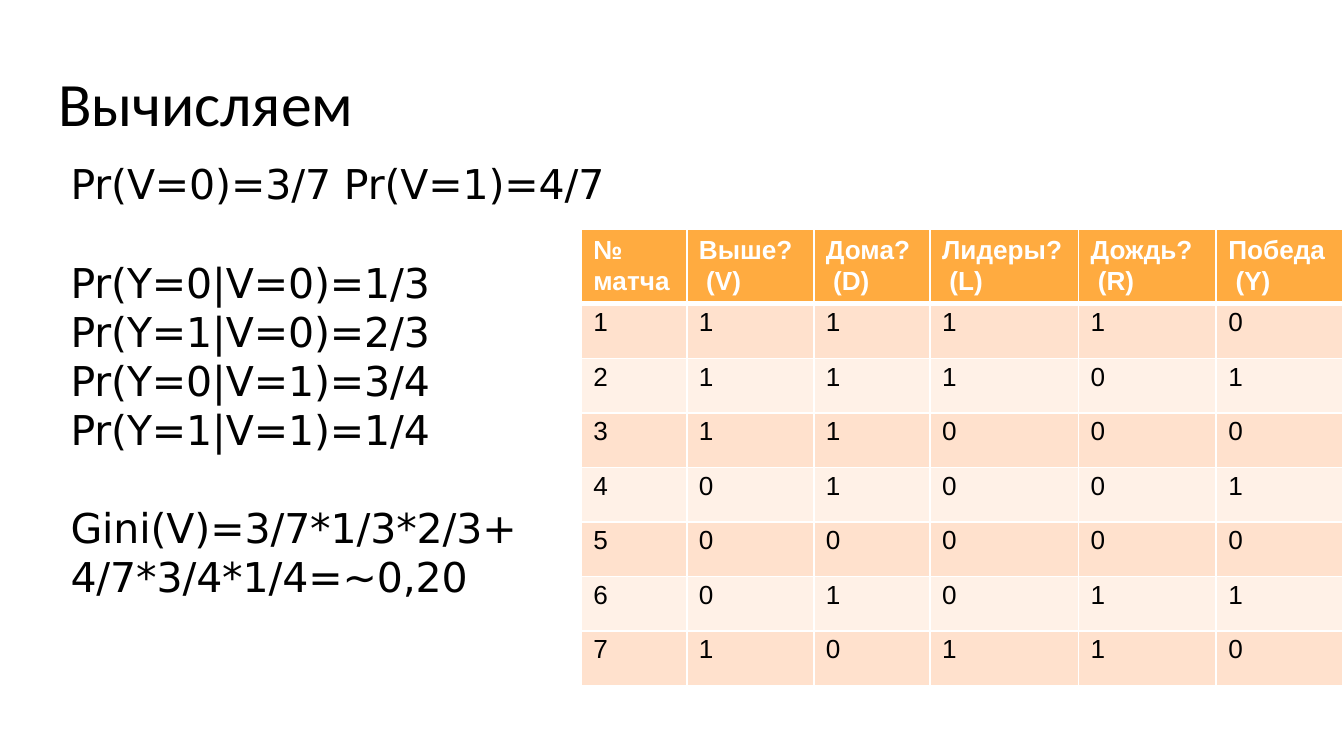
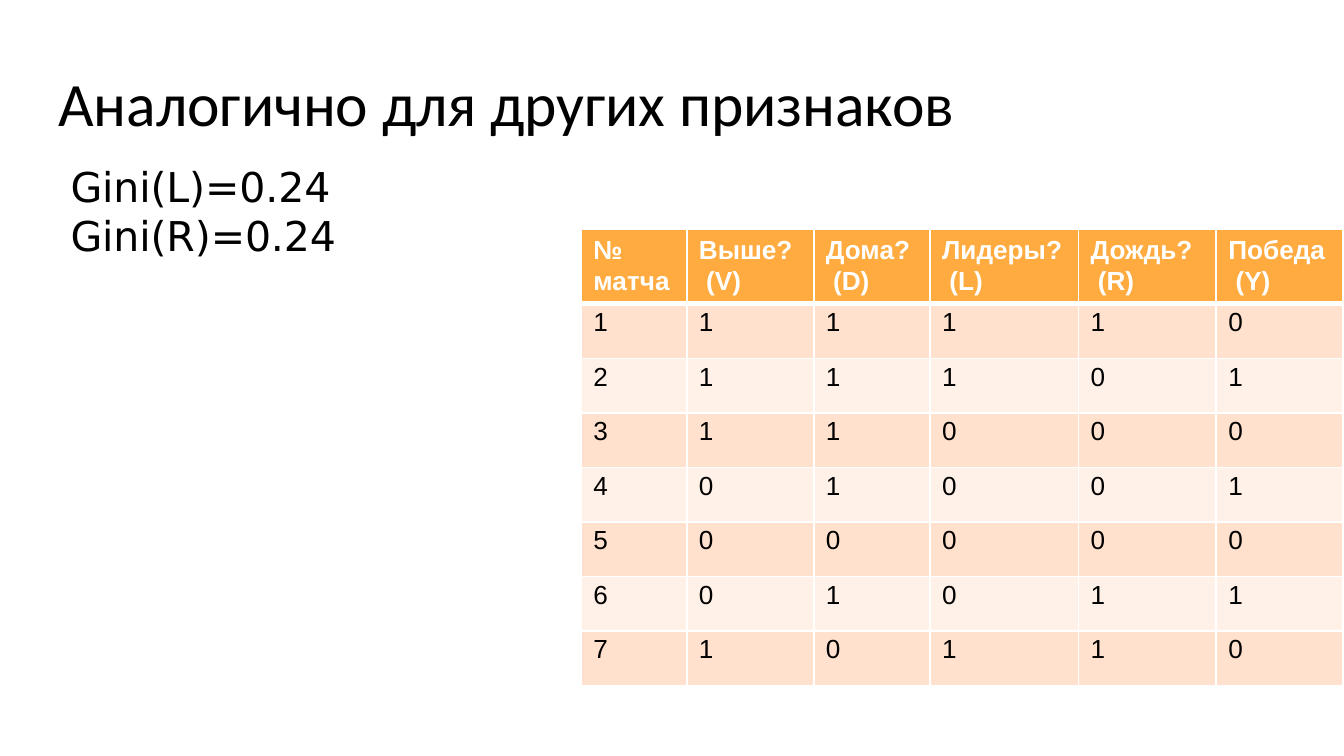
from dataclasses import dataclass

from lxml import etree
from pptx import Presentation
from pptx.dml.color import RGBColor
from pptx.enum.text import MSO_ANCHOR, MSO_AUTO_SIZE, PP_ALIGN
from pptx.oxml.ns import qn
from pptx.util import Inches, Pt

LEFT = PP_ALIGN.LEFT
TOP, MIDDLE = MSO_ANCHOR.TOP, MSO_ANCHOR.MIDDLE
FIT_SHAPE = MSO_AUTO_SIZE.SHAPE_TO_FIT_TEXT
TITLE_AND_CONTENT = 1

# Grid: 100 columns by 100 rows over a 16:9 slide
SLIDE_W = Inches(10)
SLIDE_H = SLIDE_W * 9 // 16


def cols(n: float) -> int:
    return round(SLIDE_W * n / 100)


def rows(n: float) -> int:
    return round(SLIDE_H * n / 100)


# Theme
@dataclass(frozen=True)
class TextStyle:
    font: str
    size: float
    color: str = "000000"
    bold: bool = False
    tracking: int = 0  # hundredths of a point
    line: float | None = None  # exact line height in points


@dataclass(frozen=True)
class Theme:
    title: TextStyle = TextStyle("Calibri", 33, tracking=-5)
    formula: TextStyle = TextStyle("DejaVu Sans", 22, tracking=-5, line=26.3)
    header: TextStyle = TextStyle("Arial", 14, "FFFFFF", bold=True, line=16.5)
    value: TextStyle = TextStyle("Arial", 14)
    header_fill: str = "FFAB40"
    bands: tuple[str, str] = ("FFE1CD", "FFF1E7")
    border: str = "FFFFFF"
    thin: float = 1
    thick: float = 3


THEME = Theme()


# Content
@dataclass(frozen=True)
class Box:
    left: float
    top: float
    width: float
    height: float


@dataclass(frozen=True)
class GiniSlide:
    title: str
    title_width: float
    formulas: tuple[str, ...]  # groups parted by one empty line
    formula_box: Box
    formula_inset: float


SLIDES = (
    GiniSlide(
        "Вычисляем", 23.1,
        (
            "Pr(V=0)=3/7 Pr(V=1)=4/7",
            "Pr(Y=0|V=0)=1/3\vPr(Y=1|V=0)=2/3\v"
            "Pr(Y=0|V=1)=3/4\vPr(Y=1|V=1)=1/4",
            "Gini(V)=3/7*1/3*2/3+\v4/7*3/4*1/4=~0,20",
        ),
        Box(5.15, 20.85, 41.8, 58.85), 0.01,
    ),
    GiniSlide(
        "Аналогично для других признаков", 70.1,
        ("Gini(L)=0.24\vGini(R)=0.24",),
        Box(5.15, 20.85, 20.6, 13.5), 0.03,
    ),
)

MATCH_HEADERS = ("№\vматча", "Выше?\v (V)", "Дома?\v (D)",
                 "Лидеры?\v (L)", "Дождь?\v (R)", "Победа\v (Y)")
MATCHES = ("11110", "11101", "11000", "01001", "00000", "01011", "10110")
MATCH_COLUMNS = (7.85, 9.45, 8.65, 11.05, 10.25, 9.45)
MATCH_BOX = Box(43.25, 30.3, sum(MATCH_COLUMNS), 60.4)
HEADER_ROW = 9.9


# Text
def style_paragraph(paragraph, style: TextStyle, before: float,
                    indent: float = 0.01) -> None:
    paragraph.alignment = LEFT
    paragraph.space_before = Pt(before)
    if style.line:
        paragraph.line_spacing = Pt(style.line)
    font = paragraph.font
    font.name, font.size, font.bold = style.font, Pt(style.size), style.bold
    font.color.rgb = RGBColor.from_string(style.color)
    properties = paragraph._p.get_or_add_pPr()
    properties.set("marL", str(Inches(indent)))
    properties.set("indent", "0")
    defaults = properties.find(qn("a:defRPr"))
    defaults.set("spc", str(style.tracking))
    defaults.addprevious(etree.Element(qn("a:buNone")))


def place(placeholder, box: Box, anchor, inset: float = 0.01):
    placeholder.left, placeholder.top = cols(box.left), rows(box.top)
    placeholder.width, placeholder.height = cols(box.width), rows(box.height)
    frame = placeholder.text_frame
    frame.margin_left = frame.margin_right = frame.margin_bottom = 0
    frame.margin_top = Inches(inset)
    frame.vertical_anchor = anchor
    frame.word_wrap = True
    frame.auto_size = FIT_SHAPE
    return frame


def write_title(slide, content: GiniSlide) -> None:
    box = Box(4.25, 9.42, content.title_width, 7.82)
    frame = place(slide.shapes.title, box, MIDDLE)
    frame.text = content.title
    style_paragraph(frame.paragraphs[0], THEME.title, before=1)


def write_formulas(slide, content: GiniSlide) -> None:
    frame = place(slide.placeholders[1], content.formula_box, TOP,
                  content.formula_inset)
    for g, group in enumerate(content.formulas):
        paragraph = frame.add_paragraph() if g else frame.paragraphs[0]
        paragraph.text = group
        style_paragraph(paragraph, THEME.formula,
                        before=THEME.formula.line if g else 0)


# Match table
def set_borders(cell, top: float, bottom: float) -> None:
    properties = cell._tc.get_or_add_tcPr()
    widths = {"lnL": THEME.thin, "lnR": THEME.thin, "lnT": top, "lnB": bottom}
    for side, width in widths.items():
        line = etree.SubElement(properties, qn(f"a:{side}"), w=str(Pt(width)))
        fill = etree.SubElement(line, qn("a:solidFill"))
        etree.SubElement(fill, qn("a:srgbClr"), val=THEME.border)


def fill_cell(cell, text: str, row: int) -> None:
    is_header = row == 0
    set_borders(cell, THEME.thick if row == 1 else THEME.thin,
                THEME.thick if is_header else THEME.thin)
    cell.fill.solid()
    color = THEME.header_fill if is_header else THEME.bands[(row - 1) % 2]
    cell.fill.fore_color.rgb = RGBColor.from_string(color)
    cell.margin_left = cell.margin_right = cell.margin_bottom = 0
    cell.margin_top = Inches(0.04 if is_header else 0.03)
    cell.text = text
    style_paragraph(cell.text_frame.paragraphs[0],
                    THEME.header if is_header else THEME.value,
                    before=3.2 if is_header else 2.4, indent=0.09)


def add_match_table(slide) -> None:
    lines = [MATCH_HEADERS]
    lines += [(str(n), *flags) for n, flags in enumerate(MATCHES, 1)]
    table = slide.shapes.add_table(
        len(lines), len(MATCH_COLUMNS), cols(MATCH_BOX.left),
        rows(MATCH_BOX.top), cols(MATCH_BOX.width), rows(MATCH_BOX.height),
    ).table
    for column, width in zip(table.columns, MATCH_COLUMNS):
        column.width = cols(width)
    value_row = (MATCH_BOX.height - HEADER_ROW) / len(MATCHES)
    for r, line in enumerate(lines):
        table.rows[r].height = rows(value_row if r else HEADER_ROW)
        for c, text in enumerate(line):
            fill_cell(table.cell(r, c), text, r)


def main() -> None:
    deck = Presentation()
    deck.slide_width, deck.slide_height = SLIDE_W, SLIDE_H
    for content in SLIDES:
        slide = deck.slides.add_slide(deck.slide_layouts[TITLE_AND_CONTENT])
        write_title(slide, content)
        write_formulas(slide, content)
        add_match_table(slide)
    deck.save("out.pptx")


if __name__ == "__main__":
    main()
